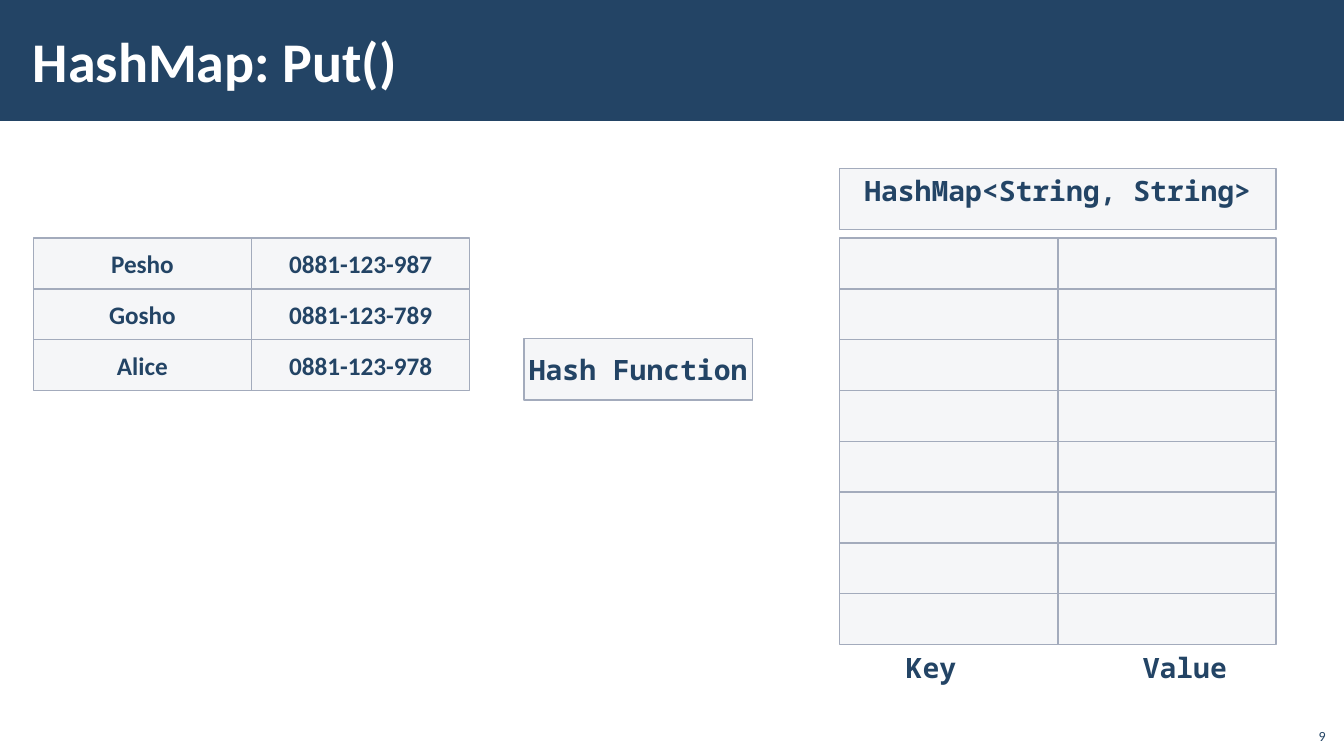
from lxml import etree
from pptx import Presentation
from pptx.dml.color import RGBColor
from pptx.enum.shapes import MSO_SHAPE
from pptx.enum.text import MSO_ANCHOR, PP_ALIGN
from pptx.oxml.ns import qn
from pptx.util import Cm, Pt

NAVY = "234465"
CELL_WIDTH, CELL_HEIGHT = 5.5, 1.28
GRID_TOP = 6
CONTACTS_LEFT, MAP_LEFT = 0.84, 21.16
BUCKET_COUNT = 8
CODE_FONT = "Noto Sans Mono"


def set_text(shape, text, size, font="Calibri", color=NAVY, bold=True,
             align=PP_ALIGN.CENTER, anchor=MSO_ANCHOR.MIDDLE, margins=(0.25, 0.13)):
    frame = shape.text_frame
    frame.word_wrap = True
    frame.vertical_anchor = anchor
    frame.margin_left = frame.margin_right = Cm(margins[0])
    frame.margin_top = frame.margin_bottom = Cm(margins[1])
    paragraph = frame.paragraphs[0]
    paragraph.text = text
    paragraph.alignment = align
    paragraph.font.name = font
    paragraph.font.size = Pt(size)
    paragraph.font.bold = bold
    paragraph.font.color.rgb = RGBColor.from_string(color)


def add_box(left, top, width, height):
    """Add a rectangle with the pale translucent fill and thin grey outline."""
    box = slide.shapes.add_shape(MSO_SHAPE.RECTANGLE, Cm(left), Cm(top), Cm(width), Cm(height))
    box.shadow.inherit = False
    box.fill.solid()
    box.fill.fore_color.rgb = RGBColor.from_string("C2C7D2")
    fill_color = box.fill._xPr.find(qn("a:solidFill"))[0]
    etree.SubElement(fill_color, qn("a:alpha"), val="15000")
    box.line.color.rgb = RGBColor.from_string("A3ABBC")
    box.line.width = Pt(1)
    return box


presentation = Presentation()
presentation.slide_width = Cm(33.87)
presentation.slide_height = Cm(19.05)
slide = presentation.slides.add_slide(presentation.slide_layouts[5])

# Title on its band
band = slide.shapes.add_shape(MSO_SHAPE.RECTANGLE, 0, 0, presentation.slide_width, Cm(3.05))
band.shadow.inherit = False
band.fill.solid()
band.fill.fore_color.rgb = RGBColor.from_string(NAVY)
band.line.fill.background()
slide.shapes._spTree.insert(2, band._element)

title = slide.shapes.title
title.left, title.top, title.width, title.height = Cm(0.53), Cm(0.28), Cm(27), Cm(2.46)
set_text(title, "HashMap: Put()", 40, color="FFFFFF", align=PP_ALIGN.LEFT, margins=(0.3, 0.1))

# Entries to put
contacts = [
    ("Pesho", "0881-123-987"),
    ("Gosho", "0881-123-789"),
    ("Alice", "0881-123-978"),
]
for row, entry in enumerate(contacts):
    for column, text in enumerate(entry):
        cell = add_box(CONTACTS_LEFT + column * CELL_WIDTH, GRID_TOP + row * CELL_HEIGHT,
                       CELL_WIDTH, CELL_HEIGHT)
        set_text(cell, text, 18, margins=(0.5, 0))

hash_function = add_box(13.21, 8.53, 5.75, 1.55)
set_text(hash_function, "Hash Function", 20, CODE_FONT, margins=(0, 0))

# Map with empty buckets
map_header = add_box(MAP_LEFT, 4.24, 2 * CELL_WIDTH, 1.55)
set_text(map_header, "HashMap<String, String>", 20, CODE_FONT, anchor=MSO_ANCHOR.TOP)

for row in range(BUCKET_COUNT):
    for column in range(2):
        add_box(MAP_LEFT + column * CELL_WIDTH, GRID_TOP + row * CELL_HEIGHT,
                CELL_WIDTH, CELL_HEIGHT)

column_labels = slide.shapes.add_textbox(Cm(MAP_LEFT), Cm(16.26), Cm(2 * CELL_WIDTH), Cm(1.12))
properties = column_labels.text_frame.paragraphs[0]._p.get_or_add_pPr()
tabs = etree.SubElement(properties, qn("a:tabLst"))
etree.SubElement(tabs, qn("a:tab"), pos=str(Cm(5.97)), algn="l")
set_text(column_labels, "Key\tValue", 20, CODE_FONT, align=PP_ALIGN.LEFT, anchor=MSO_ANCHOR.TOP)
column_labels.text_frame.margin_left = Cm(1.67)

page_number = slide.shapes.add_textbox(Cm(32.64), Cm(18.08), Cm(1.02), Cm(0.81))
set_text(page_number, "9", 10, bold=False, align=PP_ALIGN.RIGHT, anchor=MSO_ANCHOR.BOTTOM)

presentation.save("out.pptx")
